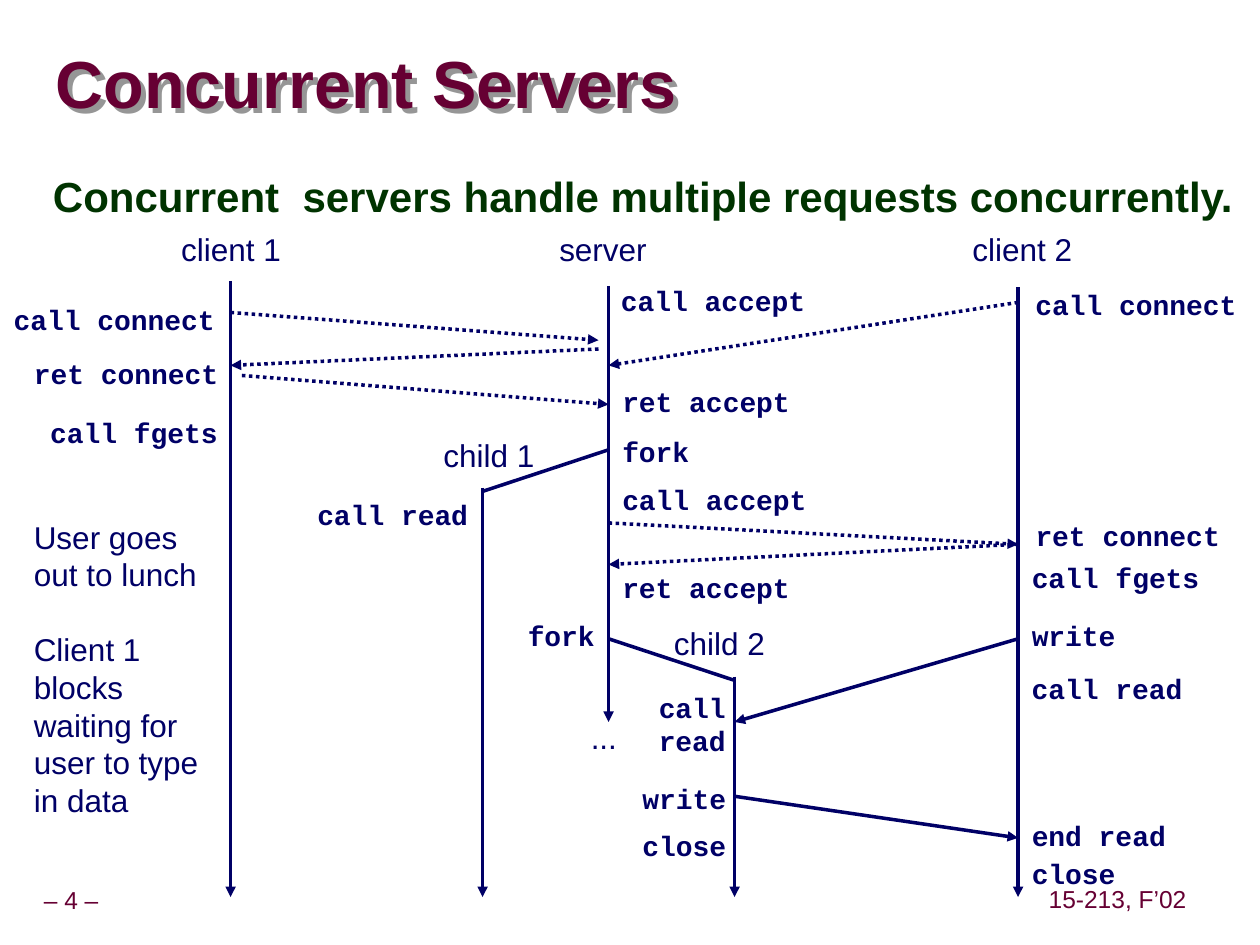
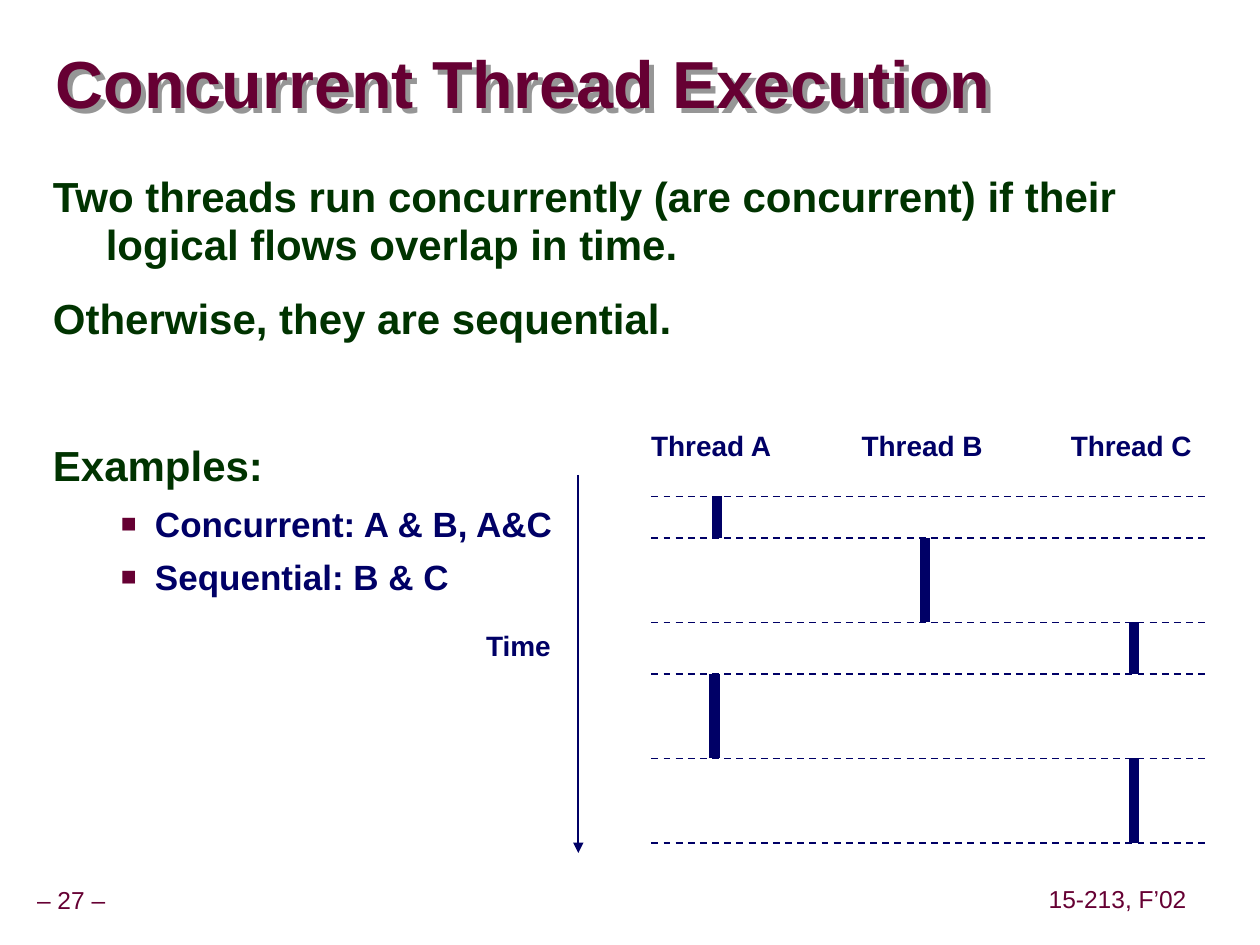
"""Build two slides on concurrent servers and concurrent threads."""
from lxml import etree
from pptx import Presentation
from pptx import util as u
from pptx.dml.color import RGBColor
from pptx.enum import dml, shapes, text
from pptx.oxml import ns

MAROON = RGBColor(0x66, 0x00, 0x33)
GREEN = RGBColor(0x00, 0x33, 0x00)
NAVY = RGBColor(0x00, 0x00, 0x66)
SHADOW_GREY = RGBColor(0x96, 0x96, 0x96)
SANS, MONO = "Arial", "Courier New"
COURSE = "15-213, F’02"

CLIENT_1, CHILD_1, SERVER, CHILD_2, CLIENT_2 = 1.83, 3.83, 4.83, 5.83, 8.08
TIMELINES = [(CLIENT_1, 2.23, 7.12), (SERVER, 2.27, 5.73), (CLIENT_2, 2.28, 7.12),
             (CHILD_1, 3.87, 7.12), (CHILD_2, 5.37, 7.12)]
HANDSHAKES = [(CLIENT_1, 2.48, 4.75, 2.7), (4.75, 2.77, CLIENT_1, 2.9),
              (1.92, 2.98, SERVER, 3.21), (CLIENT_2, 2.4, SERVER, 2.9),
              (SERVER, 4.15, CLIENT_2, 4.32), (CLIENT_2, 4.32, SERVER, 4.48)]
FORKS = [(SERVER, 3.57, CHILD_1, 3.9), (SERVER, 5.07, CHILD_2, 5.4)]
DATA_MESSAGES = [(CLIENT_2, 5.07, CHILD_2, 5.73), (CHILD_2, 6.32, CLIENT_2, 6.65)]
ROLES = [("client 1", 1.34, 1.78, 1), ("server", 4.34, 1.78, 0.95),
         ("client 2", 7.62, 1.78, 1), ("child 1", 3.42, 3.41, 0.95),
         ("child 2", 5.25, 4.9, 0.95), ("...", 4.59, 5.65, 0.45)]
CALLS = [
    ("call connect", 0.01, 2.35), ("ret connect", 0.17, 2.78), ("call fgets", 0.3, 3.25),
    ("call read", 2.42, 3.9),
    ("call accept", 4.83, 2.2), ("ret accept", 4.84, 3), ("fork", 4.84, 3.4),
    ("call accept", 4.84, 3.78), ("ret accept", 4.84, 4.48), ("fork", 4.09, 4.86),
    ("call\nread", 5.13, 5.43), ("write", 5, 6.15), ("close", 5, 6.53),
    ("call connect", 8.12, 2.23), ("ret connect", 8.12, 4.07), ("call fgets", 8.09, 4.4),
    ("write", 8.09, 4.86), ("call read", 8.09, 5.28), ("end read", 8.09, 6.45),
    ("close", 8.09, 6.75),
]

SWITCH_TIMES = [3.94, 4.27, 4.94, 5.35, 6.02, 6.69]
RUNNING_AT = [5.69, 7.34, 9, 5.67, 9]
THREADS = [("Thread A", 5.07), ("Thread B", 6.74), ("Thread C", 8.4)]


def add_xml(parent, tag, **attributes):
    """Append a DrawingML element and return it."""
    return etree.SubElement(parent, ns.qn(tag), attributes)


def style_font(para, size, color, name=SANS, bold=False):
    """Set the font of a whole paragraph."""
    para.font.size = u.Pt(size)
    para.font.name = name
    para.font.bold = bold
    para.font.color.rgb = color


def place(shape, left, top, width, height):
    """Move and size a shape, in inches."""
    shape.left, shape.top = u.Inches(left), u.Inches(top)
    shape.width, shape.height = u.Inches(width), u.Inches(height)


def set_insets(frame, across, down):
    """Set the inner margins of a text frame, in inches."""
    frame.margin_left = frame.margin_right = u.Inches(across)
    frame.margin_top = frame.margin_bottom = u.Inches(down)


def add_label(page, words, left, top, width, height=0.37, size=16, name=SANS,
              bold=False, color=NAVY, wrap=False):
    """Add a text box with one paragraph per line of words."""
    box = page.shapes.add_textbox(*map(u.Inches, (left, top, width, height)))
    frame = box.text_frame
    frame.word_wrap = wrap
    frame.auto_size = text.MSO_AUTO_SIZE.SHAPE_TO_FIT_TEXT
    frame.text = words
    for para in frame.paragraphs:
        style_font(para, size, color, name, bold)
    return frame


def add_call(page, words, left, top):
    """Add a code label whose width follows from its longest line."""
    lines = words.split("\n")
    width = 0.2 + max(map(len, lines)) * 16 * 0.6 / 72
    add_label(page, words, left, top, width, 0.1 + 0.27 * len(lines), name=MONO, bold=True)


def add_line(page, x1, y1, x2, y2, weight=2, dash=None, arrow=False):
    """Add a straight navy line, optionally dashed or with an arrowhead."""
    line = page.shapes.add_connector(shapes.MSO_CONNECTOR.STRAIGHT,
                                     *map(u.Inches, (x1, y1, x2, y2)))
    line.line.color.rgb = NAVY
    line.line.width = u.Pt(weight)
    if dash:
        line.line.dash_style = dash
    if arrow:
        add_xml(line.line._get_or_add_ln(), "a:tailEnd", type="triangle")
    add_xml(line._element.spPr, "a:effectLst")


def add_title(page, words):
    """Fill the title placeholder and give it the grey drop shadow."""
    title = page.shapes.title
    place(title, 0.44, 0.27, 9.53, 0.85)
    frame = title.text_frame
    frame.text = words
    frame.auto_size = text.MSO_AUTO_SIZE.NONE
    frame.vertical_anchor = text.MSO_ANCHOR.MIDDLE
    set_insets(frame, 0, 0)
    para = frame.paragraphs[0]
    para.alignment = text.PP_ALIGN.LEFT
    para.line_spacing = 0.87
    style_font(para, 38, MAROON, bold=True)
    title.fill.background()
    effects = add_xml(title._element.spPr, "a:effectLst")
    shadow = add_xml(effects, "a:outerShdw", dist=str(u.Pt(4)), dir="2700000")
    add_xml(shadow, "a:srgbClr", val=str(SHADOW_GREY))


def style_statement(para, space_before):
    """Format a top-level body paragraph with a hanging indent."""
    props = para._p.get_or_add_pPr()
    props.set("marL", str(u.Inches(0.42)))
    props.set("indent", str(u.Inches(-0.42)))
    add_xml(props, "a:buNone")
    para.line_spacing = 0.95
    para.space_before = u.Pt(space_before)
    style_font(para, 24, GREEN, bold=True)


def style_bullet(para):
    """Format a second-level body paragraph with a square bullet."""
    para.level = 1
    props = para._p.get_or_add_pPr()
    props.set("marL", str(u.Inches(0.81)))
    props.set("indent", str(u.Inches(-0.27)))
    add_xml(add_xml(props, "a:buClr"), "a:srgbClr", val=str(MAROON))
    add_xml(props, "a:buSzPct", val="75000")
    add_xml(props, "a:buFont", typeface=SANS)
    add_xml(props, "a:buChar", char="■")
    para.space_before = u.Pt(6.2)
    style_font(para, 20, NAVY, bold=True)


def add_body(page, width, statements, bullets=()):
    """Fill the body with (words, space before) statements, then bullets."""
    body = page.placeholders[1]
    place(body, 0.32, 1.33, width, 5.71)
    frame = body.text_frame
    frame.auto_size = text.MSO_AUTO_SIZE.NONE
    set_insets(frame, 0.1, 0.05)
    frame.text = "\n".join([words for words, _ in statements] + list(bullets))
    for para, (_, space_before) in zip(frame.paragraphs, statements):
        style_statement(para, space_before)
    for para in frame.paragraphs[len(statements):]:
        style_bullet(para)


def add_footer(page, number):
    """Add the page number and the course label."""
    for words, left, top, width in ((f"– {number} –", -0.09, 7, 1.31),
                                    (COURSE, 8.27, 6.99, 1.2)):
        frame = add_label(page, words, left, top, width, 0.31, size=14, color=MAROON)
        set_insets(frame, 0.05, 0.05)
        frame.vertical_anchor = text.MSO_ANCHOR.MIDDLE
        frame.paragraphs[0].alignment = text.PP_ALIGN.CENTER
        frame.paragraphs[0].line_spacing = 0.9


def add_page(deck, title, number):
    """Add a slide with its title and footer."""
    page = deck.slides.add_slide(deck.slide_layouts[1])
    add_title(page, title)
    add_footer(page, number)
    return page


def build_servers(deck):
    """Build the sequence diagram of two clients and a forking server."""
    page = add_page(deck, "Concurrent Servers", 4)
    add_body(page, 9.68, [("Concurrent  servers handle multiple requests concurrently.", 0)])
    for x, top, bottom in TIMELINES:
        add_line(page, x, top, x, bottom, arrow=True)
    for ends in HANDSHAKES:
        add_line(page, *ends, dash=dml.MSO_LINE.ROUND_DOT, arrow=True)
    for ends in FORKS:
        add_line(page, *ends)
    for ends in DATA_MESSAGES:
        add_line(page, *ends, arrow=True)
    for role in ROLES:
        add_label(page, *role, height=0.4, size=18)
    for call in CALLS:
        add_call(page, *call)
    story = add_label(page, "User goes\nout to lunch\nClient 1 blocks\n"
                      "waiting for user to type in data",
                      0.17, 4.06, 1.67, 2.5, size=18, wrap=True)
    story.paragraphs[2].space_before = u.Pt(21)


def build_threads(deck):
    """Build the timing chart of three threads."""
    page = add_page(deck, "Concurrent Thread Execution", 27)
    add_body(page, 9.09,
             [("Two threads run concurrently (are concurrent) if their "
               "logical flows overlap in time.", 0),
              ("Otherwise, they are sequential.", 15),
              ("Examples:", 57)],
             ["Concurrent: A & B, A&C", "Sequential: B & C"])
    add_line(page, 4.59, 3.77, 4.59, 6.77, weight=1, arrow=True)
    add_label(page, "Time", 3.76, 4.94, 0.75, bold=True)
    for name, left in THREADS:
        add_label(page, name, left, 3.35, 1.2, bold=True)
    for x, start, end in zip(RUNNING_AT, SWITCH_TIMES, SWITCH_TIMES[1:]):
        add_line(page, x, start, x, end, weight=6)
    for y in SWITCH_TIMES:
        add_line(page, 5.17, y, 9.59, y, weight=1, dash=dml.MSO_LINE.DASH)


def main():
    """Build and save the deck."""
    deck = Presentation()
    deck.slide_width, deck.slide_height = u.Inches(10), u.Inches(7.5)
    build_servers(deck)
    build_threads(deck)
    deck.save("out.pptx")


if __name__ == "__main__":
    main()
